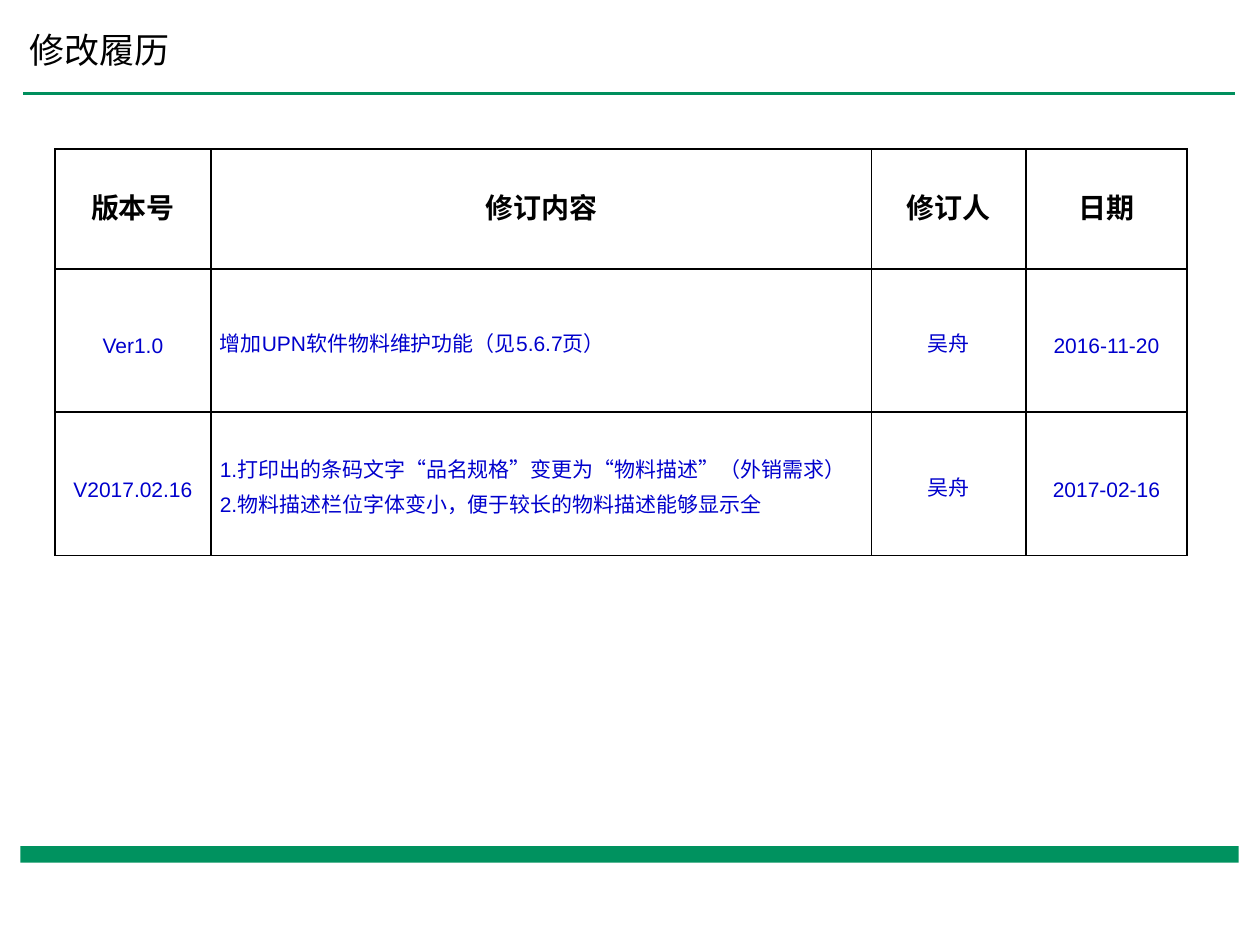
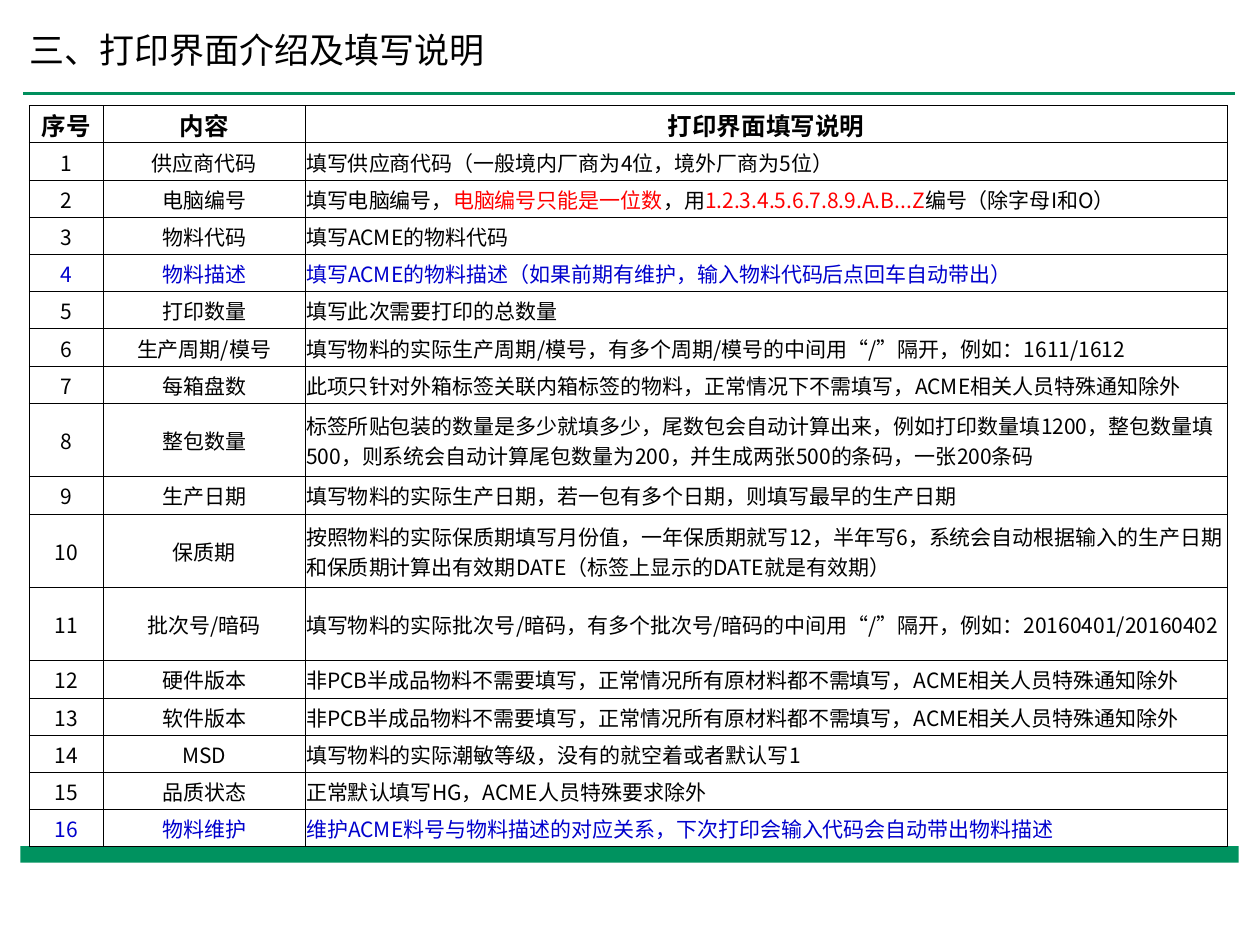
from lxml import etree
from pptx import Presentation
from pptx.dml.color import RGBColor
from pptx.enum.shapes import MSO_CONNECTOR, MSO_SHAPE
from pptx.enum.text import MSO_ANCHOR, PP_ALIGN
from pptx.oxml.ns import qn
from pptx.util import Cm, Pt

STRAIGHT = MSO_CONNECTOR.STRAIGHT
RECTANGLE = MSO_SHAPE.RECTANGLE
MIDDLE = MSO_ANCHOR.MIDDLE
LEFT, CENTER = PP_ALIGN.LEFT, PP_ALIGN.CENTER

BAND_GREEN = RGBColor(0x00, 0x92, 0x5F)
RULE_GREEN = RGBColor(0x00, 0x8F, 0x5D)
BLACK = RGBColor(0x00, 0x00, 0x00)
BLUE = RGBColor(0x00, 0x00, 0xCC)
RED = RGBColor(0xFF, 0x00, 0x00)

CHINESE_FONT = "Noto Sans CJK SC"
LATIN_FONT = "Arial"
BORDER_TAGS = ("a:lnL", "a:lnR", "a:lnT", "a:lnB")

# A vertical bar in a cell switches between the row colour and red.
REVISION_ROWS = [
    ("版本号", "修订内容", "修订人", "日期"),
    ("Ver1.0", "增加UPN软件物料维护功能（见5.6.7页）", "吴舟", "2016-11-20"),
    ("V2017.02.16",
     "1.打印出的条码文字“品名规格”变更为“物料描述”（外销需求）\n"
     "2.物料描述栏位字体变小，便于较长的物料描述能够显示全",
     "吴舟", "2017-02-16"),
]

FIELDS = [
    ("供应商代码", "填写供应商代码（一般境内厂商为4位，境外厂商为5位）"),
    ("电脑编号",
     "填写电脑编号，|电脑编号只能是一位数|，用|1.2.3.4.5.6.7.8.9.A.B...Z|"
     "编号（除字母I和O）"),
    ("物料代码", "填写ACME的物料代码"),
    ("物料描述", "填写ACME的物料描述（如果前期有维护，输入物料代码后点回车自动带出）"),
    ("打印数量", "填写此次需要打印的总数量"),
    ("生产周期/模号",
     "填写物料的实际生产周期/模号，有多个周期/模号的中间用“/”隔开，例如：1611/1612"),
    ("每箱盘数",
     "此项只针对外箱标签关联内箱标签的物料，正常情况下不需填写，ACME相关人员特殊通知除外"),
    ("整包数量",
     "标签所贴包装的数量是多少就填多少，尾数包会自动计算出来，例如打印数量填1200，"
     "整包数量填500，则系统会自动计算尾包数量为200，并生成两张500的条码，一张200条码"),
    ("生产日期", "填写物料的实际生产日期，若一包有多个日期，则填写最早的生产日期"),
    ("保质期",
     "按照物料的实际保质期填写月份值，一年保质期就写12，半年写6，"
     "系统会自动根据输入的生产日期和保质期计算出有效期DATE（标签上显示的DATE就是有效期）"),
    ("批次号/暗码",
     "填写物料的实际批次号/暗码，有多个批次号/暗码的中间用“/”隔开，"
     "例如：20160401/20160402"),
]
for version_field in ("硬件版本", "软件版本"):
    FIELDS.append((
        version_field,
        "非PCB半成品物料不需要填写，正常情况所有原材料都不需填写，ACME相关人员特殊通知除外"))
FIELDS += [
    ("MSD", "填写物料的实际潮敏等级，没有的就空着或者默认写1"),
    ("品质状态", "正常默认填写HG，ACME人员特殊要求除外"),
    ("物料维护", "维护ACME料号与物料描述的对应关系，下次打印会输入代码会自动带出物料描述"),
]
FIELD_ROWS = [("序号", "内容", "打印界面填写说明")]
FIELD_ROWS += [(str(number), *field) for number, field in enumerate(FIELDS, 1)]
TWO_LINE_FIELDS = (8, 10, 11)

PAGES = [
    {
        "title": "修改履历", "rows": REVISION_ROWS,
        "left": 1.11, "top": 3.0,
        "widths": [3.14, 13.32, 3.11, 3.25], "heights": [2.42, 2.89, 2.89],
        "side_margin": 0.18, "top_margin": 0, "text_column": 1,
        "header_size": 16, "body_font": LATIN_FONT, "blue_rows": (1, 2),
        "line_spacing": Pt(20), "border": Pt(1),
    },
    {
        "title": "三、打印界面介绍及填写说明", "rows": FIELD_ROWS,
        "left": 0.59, "top": 2.13,
        "widths": [1.49, 4.07, 18.59],
        "heights": [1.48 if row in TWO_LINE_FIELDS else 0.75
                    for row in range(len(FIELD_ROWS))],
        "side_margin": 0.02, "top_margin": 0.02, "text_column": 2,
        "header_size": 14, "body_font": CHINESE_FONT, "blue_rows": (4, 16),
        "line_spacing": None, "border": Pt(0.5),
    },
]


def add_run(paragraph, text, size, color, latin_font=CHINESE_FONT, bold=False):
    """Append a run with its Latin and East Asian fonts."""
    run = paragraph.add_run()
    run.text = text
    run.font.size = Pt(size)
    run.font.bold = bold
    run.font.color.rgb = color
    run.font.name = latin_font
    east_asian = etree.SubElement(run.font._element, qn("a:ea"))
    east_asian.set("typeface", CHINESE_FONT)


def style_cell(cell, border_width):
    """Give a cell black borders on all sides and no fill."""
    properties = cell._tc.get_or_add_tcPr()
    for tag in BORDER_TAGS:
        border = etree.SubElement(properties, qn(tag), w=str(border_width))
        fill = etree.SubElement(border, qn("a:solidFill"))
        etree.SubElement(fill, qn("a:srgbClr"), val=str(BLACK))
    cell.fill.background()


presentation = Presentation()
presentation.slide_width = Cm(25.4)
presentation.slide_height = Cm(19.05)
blank_layout = presentation.slide_layouts[6]

for page in PAGES:
    slide = presentation.slides.add_slide(blank_layout)

    # Footer band, title rule and title
    band = slide.shapes.add_shape(
        RECTANGLE, Cm(0.41), Cm(17.06), Cm(24.56), Cm(0.33))
    band.shadow.inherit = False
    band.fill.solid()
    band.fill.fore_color.rgb = BAND_GREEN
    band.line.fill.background()

    rule = slide.shapes.add_connector(
        STRAIGHT, Cm(0.47), Cm(1.88), Cm(24.89), Cm(1.88))
    rule.line.color.rgb = RULE_GREEN
    rule.line.width = Pt(1.5)
    etree.SubElement(rule._element.spPr, qn("a:effectLst"))

    title = slide.shapes.add_textbox(Cm(0.59), Cm(0.23), Cm(19.2), Cm(1.55))
    title_frame = title.text_frame
    title_frame.word_wrap = True
    title_frame.vertical_anchor = MIDDLE
    title_frame.margin_left = 0
    add_run(title_frame.paragraphs[0], page["title"], 20, BLACK)

    # Table
    rows, widths, heights = page["rows"], page["widths"], page["heights"]
    table = slide.shapes.add_table(
        len(rows), len(widths), Cm(page["left"]), Cm(page["top"]),
        Cm(sum(widths)), Cm(sum(heights))).table
    table.first_row = False
    table.horz_banding = False
    for column, width in zip(table.columns, widths):
        column.width = Cm(width)
    for table_row, height in zip(table.rows, heights):
        table_row.height = Cm(height)

    for row_index, row in enumerate(rows):
        is_header = row_index == 0
        size = page["header_size"] if is_header else 12
        font = CHINESE_FONT if is_header else page["body_font"]
        row_color = BLUE if row_index in page["blue_rows"] else BLACK
        for column_index, text in enumerate(row):
            cell = table.cell(row_index, column_index)
            cell.vertical_anchor = MIDDLE
            cell.margin_left = cell.margin_right = Cm(page["side_margin"])
            cell.margin_top = Cm(page["top_margin"])
            cell.margin_bottom = 0
            style_cell(cell, page["border"])
            is_description = column_index == page["text_column"] and not is_header
            for line_index, line in enumerate(text.split("\n")):
                if line_index:
                    paragraph = cell.text_frame.add_paragraph()
                else:
                    paragraph = cell.text_frame.paragraphs[0]
                paragraph.alignment = LEFT if is_description else CENTER
                paragraph.line_spacing = page["line_spacing"]
                for piece_index, piece in enumerate(line.split("|")):
                    color = RED if piece_index % 2 else row_color
                    add_run(paragraph, piece, size, color, font, is_header)

presentation.save("out.pptx")
